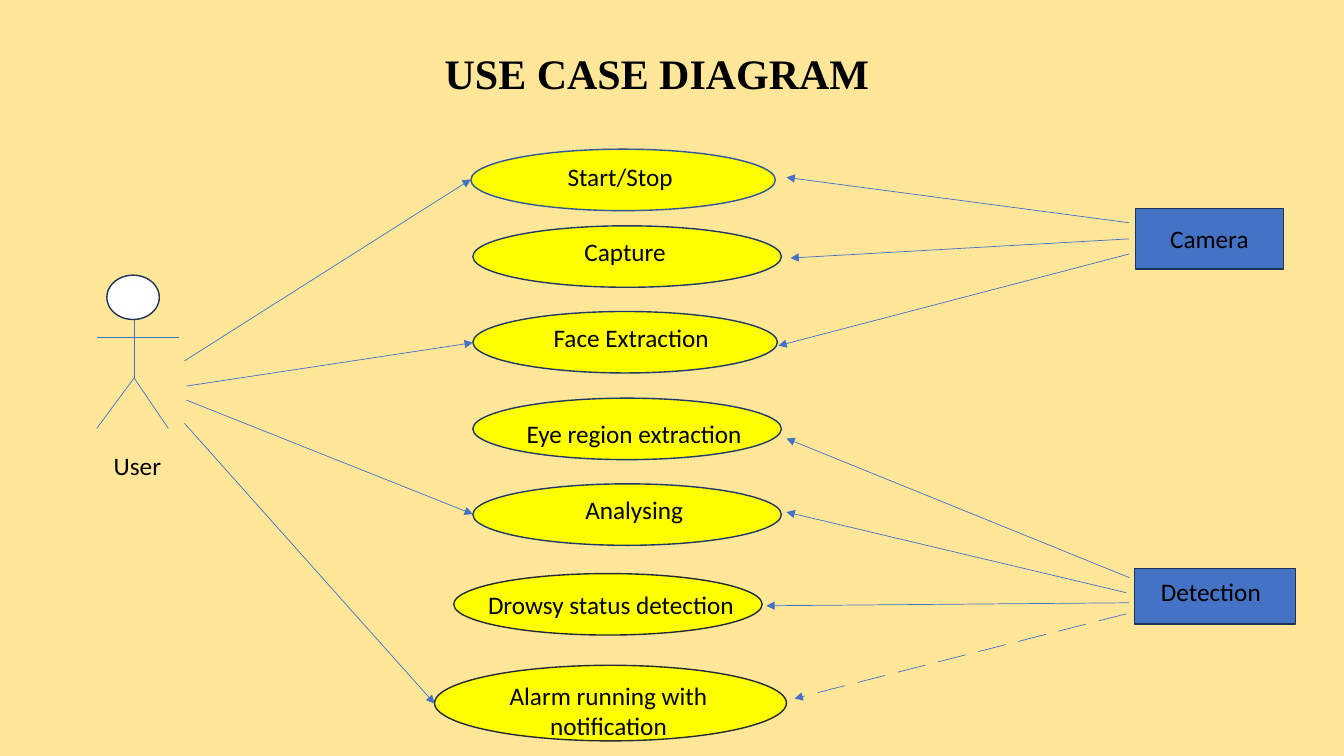
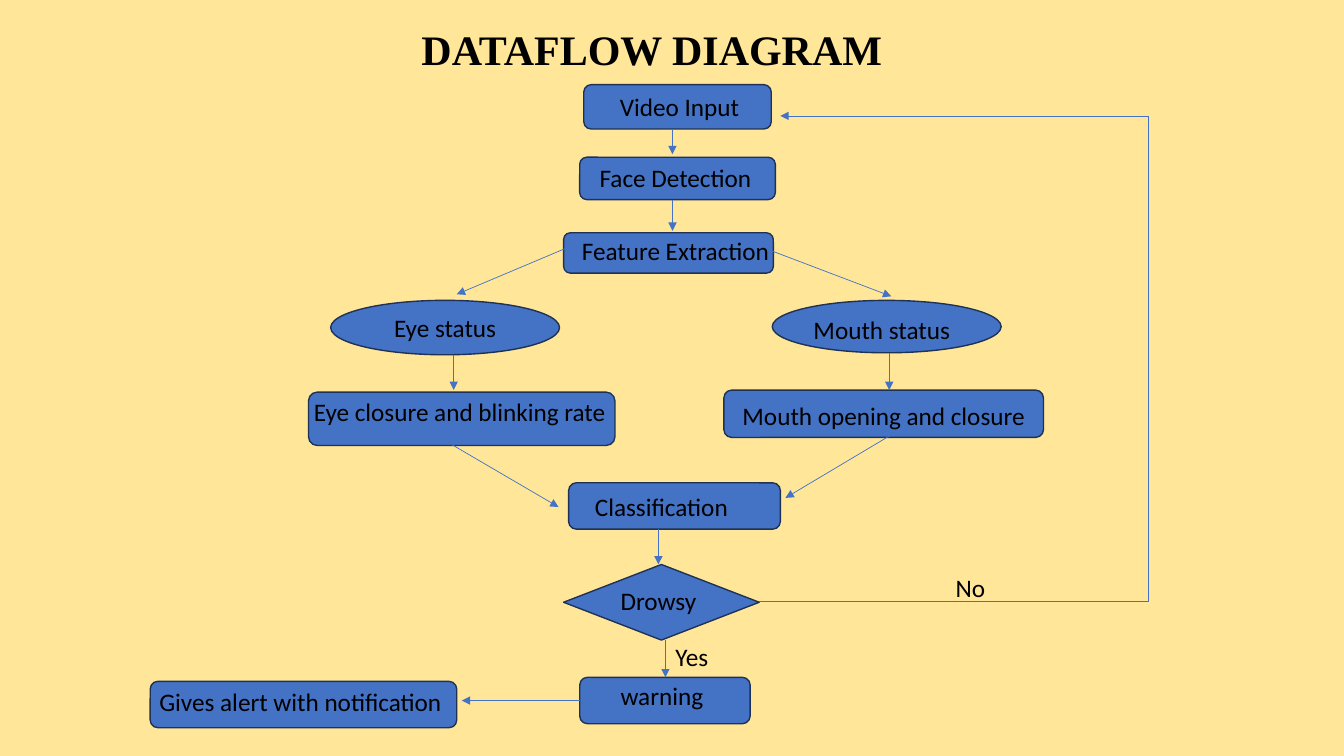
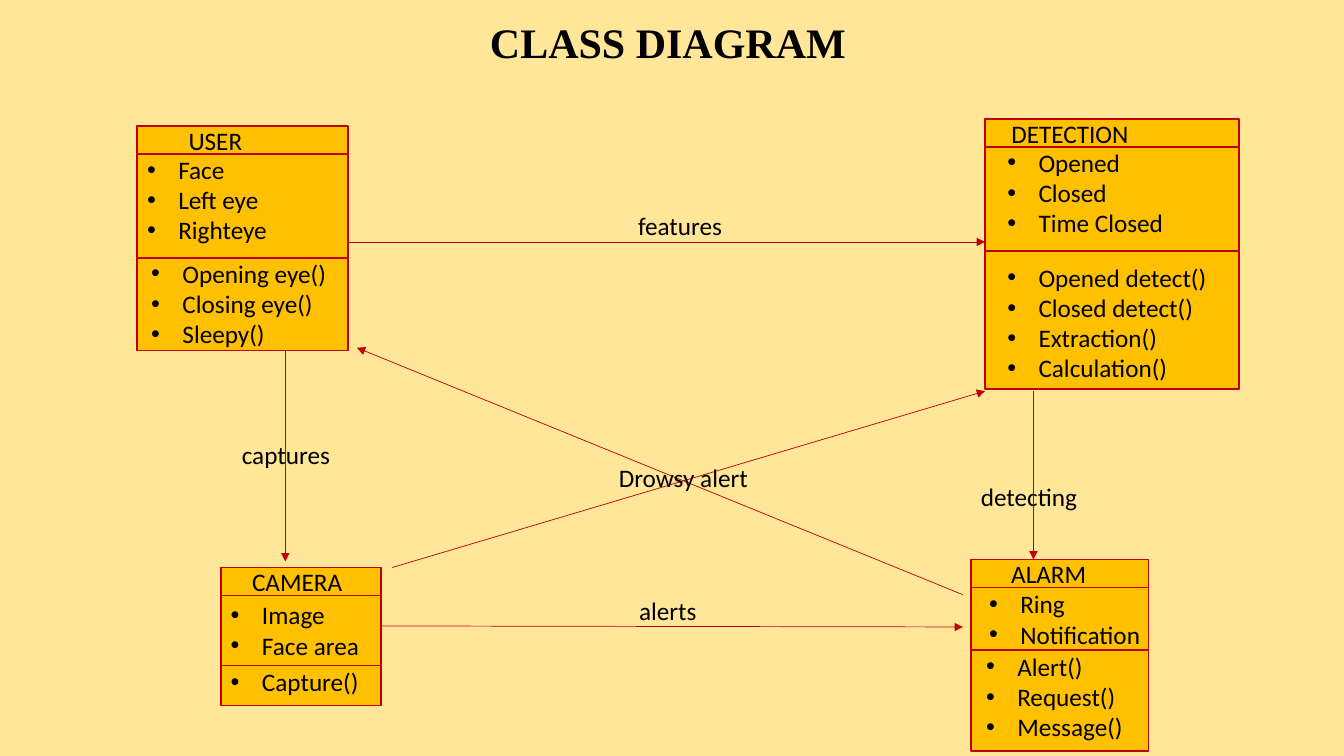
"""Build three system design slides: use cases, data flow and classes."""
import pptx
import pptx.dml.color
import pptx.enum.shapes
import pptx.enum.text
import pptx.oxml
import pptx.oxml.ns
import pptx.util

SHAPE = pptx.enum.shapes.MSO_SHAPE
ALIGN = pptx.enum.text.PP_ALIGN
ANCHOR = pptx.enum.text.MSO_ANCHOR

COLUMNS, ROWS = 13.33, 7.5
CELL = pptx.util.Inches(1)
COLORS = {
    "background": "FFE699",
    "text": "000000",
    "blue": "4472C4",
    "outline": "1E3256",
    "oval": "FFFF00",
    "first oval edge": "2F5597",
    "oval edge": "203864",
    "last oval edge": "222A35",
    "head": "FFFFFF",
    "class": "FFC000",
    "class edge": "C00000",
}
INDENT = 0.31


def cells(value):
    """Turn a number of grid cells into a length."""
    return round(value * CELL)


def color(name):
    """Look up a named colour."""
    return pptx.dml.color.RGBColor.from_string(COLORS[name])


def add_xml(parent, tag, content=""):
    """Append a drawing element, such as an arrowhead or a bullet."""
    parent.append(pptx.oxml.parse_xml(
        f'<a:{tag} {pptx.oxml.ns.nsdecls("a")}>{content}</a:{tag.split()[0]}>'))


def write(frame, text, size=18, font="Calibri", bold=False, align=ALIGN.LEFT,
          anchor=ANCHOR.TOP, wrap=True, insets=(0.1, 0.05, 0.1, 0.05), bullet=False):
    """Fill a text frame, one paragraph a line."""
    frame.word_wrap = wrap
    frame.auto_size = pptx.enum.text.MSO_AUTO_SIZE.NONE
    frame.vertical_anchor = anchor
    (frame.margin_left, frame.margin_top,
     frame.margin_right, frame.margin_bottom) = map(cells, insets)
    for index, line in enumerate(text.split("\n")):
        paragraph = frame.add_paragraph() if index else frame.paragraphs[0]
        paragraph.alignment = align
        if bullet:
            properties = paragraph._p.get_or_add_pPr()
            properties.set("marL", str(cells(INDENT)))
            properties.set("indent", str(-cells(INDENT)))
            add_xml(properties, 'buFont typeface="Arial"')
            add_xml(properties, 'buChar char="•"')
        run = paragraph.add_run()
        run.text = line
        run.font.size = pptx.util.Pt(size)
        run.font.name = font
        run.font.bold = bold
        run.font.color.rgb = color("text")


def new_slide(deck, title, box):
    """Add a slide with its title placed in the given box."""
    slide = deck.slides.add_slide(deck.slide_layouts[5])
    heading = slide.shapes.title
    heading.left, heading.top, heading.width, heading.height = map(cells, box)
    write(heading.text_frame, title, size=30, font="Times New Roman", bold=True)
    return slide


def label(slide, text, left, top, width=2):
    """Place free text."""
    caption = slide.shapes.add_textbox(*map(cells, (left, top, width, 0.4)))
    write(caption.text_frame, text)


def block(slide, kind, box, fill, edge):
    """Draw a filled and outlined shape."""
    shape = slide.shapes.add_shape(kind, *map(cells, box))
    shape.shadow.inherit = False
    shape.fill.solid()
    shape.fill.fore_color.rgb = color(fill)
    shape.line.color.rgb = color(edge)
    shape.line.width = pptx.util.Pt(1)
    return shape


def node(slide, text, box, kind=SHAPE.ROUNDED_RECTANGLE, fill="blue",
         edge="outline", shift=(0, 0), wrap=False):
    """Draw a shape with its text centred, then shifted."""
    right, down = shift
    insets = [2 * max(0, move) for move in (right, down, -right, -down)]
    shape = block(slide, kind, box, fill, edge)
    write(shape.text_frame, text, align=ALIGN.CENTER, anchor=ANCHOR.MIDDLE,
          wrap=wrap, insets=insets)


def route(slide, *points, stroke="blue", arrow=True, dashed=False):
    """Join points by lines, with an arrowhead at the last one."""
    for start, end in zip(points, points[1:]):
        link = slide.shapes.add_connector(
            pptx.enum.shapes.MSO_CONNECTOR.STRAIGHT, *map(cells, start + end))
        link.line.color.rgb = color(stroke)
        link.line.width = pptx.util.Pt(0.5)
        outline = link.line._get_or_add_ln()
        if dashed:
            add_xml(outline, "custDash", '<a:ds d="4000000" sp="1800000"/>')
        if arrow and end == points[-1]:
            add_xml(outline, 'tailEnd type="triangle"')
        add_xml(link._element.spPr, "effectLst")


def class_box(slide, left, top, width, name, name_inset, *compartments):
    """Stack a class name over its bulleted compartments."""
    head_height = 0.28
    head = block(slide, SHAPE.RECTANGLE, (left, top, width, head_height),
                 "class", "class edge")
    write(head.text_frame, name, anchor=ANCHOR.MIDDLE, insets=(name_inset, 0, 0, 0))
    top += head_height
    for members, height, inset, drop in compartments:
        part = block(slide, SHAPE.RECTANGLE, (left, top, width, height),
                     "class", "class edge")
        write(part.text_frame, members, insets=(inset, drop, 0, 0), bullet=True)
        top += height


def use_cases(deck):
    """Draw the actors, the use cases and their links."""
    slide = new_slide(deck, "USE CASE DIAGRAM", (4.31, 0.42, 4.96, 0.61))
    for text, left, top, width, height, edge, shift in (
        ("Start/Stop", 4.67, 1.48, 3.02, 0.61, "first oval edge", (-0.03, -0.03)),
        ("Capture", 4.69, 2.24, 3.06, 0.61, "oval edge", (-0.02, -0.05)),
        ("Face Extraction", 4.69, 3.09, 3.02, 0.61, "oval edge", (0.06, -0.05)),
        ("Eye region extraction", 4.69, 3.95, 3.06, 0.61, "oval edge", (0.07, 0.05)),
        ("Analysing", 4.69, 4.8, 3.06, 0.61, "oval edge", (0.07, -0.05)),
        ("Drowsy status detection", 4.5, 5.69, 3.06, 0.61, "last oval edge", (0.03, 0)),
        ("Alarm running with notification", 4.31, 6.6, 3.49, 0.75,
         "last oval edge", (-0.02, 0.07)),
    ):
        node(slide, text, (left, top, width, height), SHAPE.OVAL, "oval", edge,
             shift, wrap=height > 0.61)
    node(slide, "Camera", (11.26, 2.07, 1.47, 0.6), SHAPE.RECTANGLE)
    node(slide, "Detection", (11.25, 5.64, 1.6, 0.55), SHAPE.RECTANGLE,
         shift=(-0.04, -0.05))

    hip = (1.33, 3.75)
    route(slide, (1.33, 3.09), hip, (0.96, 4.25), arrow=False)
    route(slide, hip, (1.67, 4.25), arrow=False)
    route(slide, (0.96, 3.35), (1.78, 3.35), arrow=False)
    block(slide, SHAPE.FLOWCHART_CONNECTOR, (1.06, 2.73, 0.52, 0.44), "head", "outline")
    label(slide, "User", 1.03, 4.42)

    for start, end in (
        ((1.83, 3.58), (4.67, 1.78)),
        ((1.85, 3.83), (4.69, 3.4)),
        ((1.85, 3.97), (4.69, 5.1)),
        ((1.83, 4.2), (4.31, 6.98)),
        ((11.2, 2.21), (7.8, 1.76)),
        ((11.2, 2.37), (7.84, 2.56)),
        ((11.2, 2.52), (7.72, 3.43)),
        ((11.2, 5.73), (7.8, 4.35)),
        ((11.17, 5.88), (7.8, 5.08)),
        ((11.2, 5.98), (7.6, 6.01)),
    ):
        route(slide, start, end)
    route(slide, (11.17, 6.09), (7.88, 6.93), dashed=True)


def dataflow(deck):
    """Draw the steps from video input to the alert."""
    slide = new_slide(deck, "DATAFLOW DIAGRAM", (4.08, 0.18, 5.58, 0.61))
    for text, box, shift in (
        ("Video Input", (5.79, 0.84, 1.86, 0.44), (0.02, 0)),
        ("Face Detection", (5.75, 1.56, 1.94, 0.42), (-0.02, -0.01)),
        ("Feature Extraction", (5.59, 2.31, 2.08, 0.4), (0.07, -0.03)),
        ("Eye closure and blinking rate", (3.06, 3.89, 3.04, 0.53), (-0.02, -0.07)),
        ("Mouth opening and closure", (7.18, 3.87, 3.17, 0.47), (0, 0.02)),
        ("Classification", (5.64, 4.79, 2.1, 0.46), (-0.13, 0)),
        ("warning", (5.75, 6.72, 1.69, 0.46), (-0.03, -0.05)),
        ("Gives alert with notification", (1.49, 6.76, 3.04, 0.46), (-0.03, -0.03)),
    ):
        node(slide, text, box, shift=shift)
    node(slide, "Eye status", (3.28, 2.98, 2.27, 0.54), SHAPE.OVAL)
    node(slide, "Mouth status", (7.66, 2.98, 2.27, 0.52), SHAPE.OVAL, shift=(-0.05, 0.03))
    node(slide, "Drowsy", (5.59, 5.6, 1.94, 0.75), SHAPE.FLOWCHART_DECISION,
         shift=(-0.03, -0.02))

    for x, top, bottom in (
        (6.67, 1.28, 1.53), (6.67, 1.98, 2.29), (4.5, 3.52, 3.87),
        (8.82, 3.5, 3.87), (6.53, 5.25, 5.6), (6.6, 6.35, 6.72),
    ):
        route(slide, (x, top), (x, bottom))
    for start, end in (
        ((5.62, 2.46), (4.53, 2.92)),
        ((7.63, 2.48), (8.84, 2.94)),
        ((4.48, 4.41), (5.54, 5.03)),
        ((8.83, 4.32), (7.79, 4.94)),
        ((5.75, 6.95), (4.58, 6.95)),
    ):
        route(slide, start, end)
    route(slide, (7.53, 5.97), (11.39, 5.97), (11.39, 1.15), (7.74, 1.15))
    label(slide, "Yes", 6.6, 6.31)
    label(slide, "No", 9.38, 5.63)


def classes(deck):
    """Draw the four classes and their relations."""
    slide = new_slide(deck, "CLASS DIAGRAM", (4.76, 0.11, 4.61, 0.61))
    class_box(slide, 1.36, 1.25, 2.09, "USER", 0.51,
              ("Face\nLeft eye\nRighteye", 1.03, 0.1, 0),
              ("Opening eye()\nClosing eye()\nSleepy()", 0.92, 0.14, 0))
    class_box(slide, 9.77, 1.18, 2.52, "DETECTION", 0.26,
              ("Opened\nClosed\nTime Closed", 1.03, 0.22, 0),
              ("Opened detect()\nClosed detect()\nExtraction()\nCalculation()",
               1.37, 0.22, 0.11))
    class_box(slide, 2.19, 5.63, 1.59, "CAMERA", 0.31,
              ("Image\nFace area", 0.69, 0.1, 0.04),
              ("Capture()", 0.4, 0.1, 0.01))
    class_box(slide, 9.63, 5.55, 1.76, "ALARM", 0.4,
              ("Ring\nNotification", 0.62, 0.18, 0.01),
              ("Alert()\nRequest()\nMessage()", 1, 0.15, 0.01))
    for start, end in (
        ((3.45, 2.4), (9.77, 2.4)),
        ((3.78, 6.21), (9.55, 6.22)),
        ((2.83, 3.48), (2.83, 5.57)),
        ((10.25, 3.88), (10.25, 5.55)),
        ((3.89, 5.63), (9.77, 3.88)),
        ((9.55, 5.9), (3.54, 3.45)),
    ):
        route(slide, start, end, stroke="class edge")
    for text, left, top in (
        ("features", 6.23, 2.04),
        ("captures", 2.3, 4.31),
        ("detecting", 9.63, 4.73),
        ("alerts", 6.24, 5.86),
        ("Drowsy alert", 6.04, 4.54),
    ):
        label(slide, text, left, top)


def main():
    """Set up the deck, draw its slides and save it."""
    deck = pptx.Presentation()
    deck.slide_width, deck.slide_height = cells(COLUMNS), cells(ROWS)
    backdrop = deck.slide_master.background.fill
    backdrop.solid()
    backdrop.fore_color.rgb = color("background")
    use_cases(deck)
    dataflow(deck)
    classes(deck)
    deck.save("out.pptx")


if __name__ == "__main__":
    main()
